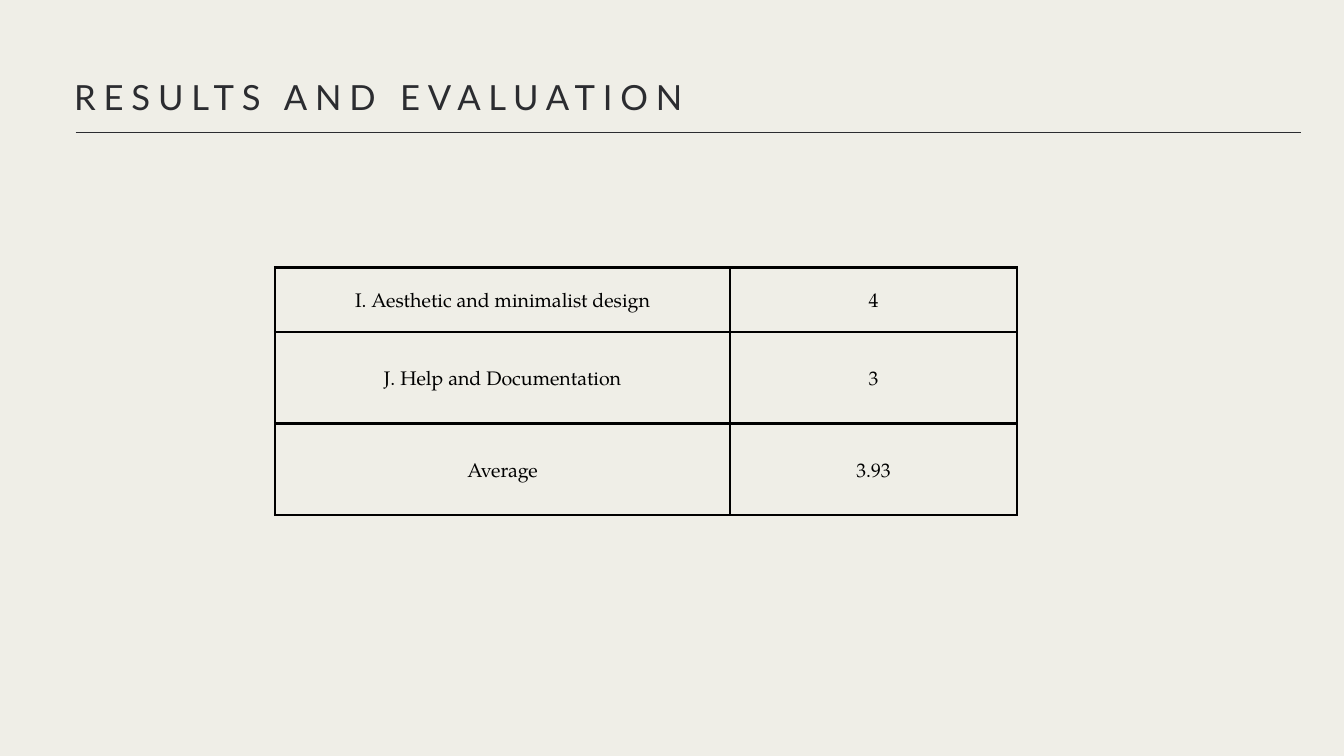
import lxml.etree
import pptx
import pptx.dml.color
import pptx.enum.shapes
import pptx.enum.text
import pptx.oxml.ns
import pptx.util

SCALE = 9525
COLORS = {"background": "EFEEE7", "ink": "2B2C30", "table": "000000"}
ROWS = [
    ("I. Aesthetic and minimalist design", "4"),
    ("J. Help and Documentation", "3"),
    ("Average", "3.93"),
]
COLUMN_WIDTHS = [650, 410]
ROW_HEIGHTS = [92, 131, 131]
CELL_MARGIN = 20


def px(length):
    return pptx.util.Emu(length * SCALE)


def color(name):
    return pptx.dml.color.RGBColor.from_string(COLORS[name])


def style_paragraph(paragraph, font_name, size, color_name, line_spacing):
    paragraph.font.name = font_name
    paragraph.font.size = pptx.util.Pt(size)
    paragraph.font.color.rgb = color(color_name)
    paragraph.line_spacing = pptx.util.Pt(line_spacing)


def add_header(slide, left, top, width, height):
    rule = slide.shapes.add_connector(
        pptx.enum.shapes.MSO_CONNECTOR.STRAIGHT,
        px(left + 2), px(top + 90), px(left + width), px(top + 90),
    )
    rule.line.color.rgb = color("ink")
    rule.line.width = pptx.util.Pt(0.75)
    properties = rule.element.find(pptx.oxml.ns.qn("p:spPr"))
    lxml.etree.SubElement(properties, pptx.oxml.ns.qn("a:effectLst"))

    title = slide.shapes.add_textbox(px(left), px(top), px(width), px(height))
    frame = title.text_frame
    frame.word_wrap = True
    frame.margin_left = frame.margin_right = 0
    frame.margin_top = frame.margin_bottom = 0
    paragraph = frame.paragraphs[0]
    run = paragraph.add_run()
    run.text = "RESULTS AND EVALUATION"
    style_paragraph(paragraph, "Lato", 37.1, "ink", 52)
    run.font._element.set("spc", "840")


def add_borders(cell, width):
    properties = cell._tc.get_or_add_tcPr()
    for index, side in enumerate(("lnL", "lnR", "lnT", "lnB")):
        border = lxml.etree.Element(
            pptx.oxml.ns.qn(f"a:{side}"), w=str(pptx.util.Pt(width))
        )
        fill = lxml.etree.SubElement(border, pptx.oxml.ns.qn("a:solidFill"))
        lxml.etree.SubElement(
            fill, pptx.oxml.ns.qn("a:srgbClr"), val=COLORS["table"]
        )
        properties.insert(index, border)


def fill_cell(cell, text):
    cell.fill.background()
    cell.vertical_anchor = pptx.enum.text.MSO_ANCHOR.MIDDLE
    cell.margin_left = cell.margin_right = px(CELL_MARGIN)
    cell.margin_top = cell.margin_bottom = px(CELL_MARGIN)
    cell.text = text
    paragraph = cell.text_frame.paragraphs[0]
    paragraph.alignment = pptx.enum.text.PP_ALIGN.CENTER
    style_paragraph(paragraph, "TeX Gyre Pagella", 21, "table", 29.4)
    add_borders(cell, 3)


def add_score_table(slide, left, top):
    table = slide.shapes.add_table(
        len(ROWS), len(COLUMN_WIDTHS), px(left), px(top),
        px(sum(COLUMN_WIDTHS)), px(sum(ROW_HEIGHTS)),
    ).table
    table.first_row = False
    table.horz_banding = False
    for column, width in zip(table.columns, COLUMN_WIDTHS):
        column.width = px(width)
    for row, height, texts in zip(table.rows, ROW_HEIGHTS, ROWS):
        row.height = px(height)
        for cell, text in zip(row.cells, texts):
            fill_cell(cell, text)


def main():
    presentation = pptx.Presentation()
    presentation.slide_width = px(1920)
    presentation.slide_height = px(1080)
    slide = presentation.slides.add_slide(presentation.slide_layouts[6])
    slide.background.fill.solid()
    slide.background.fill.fore_color.rgb = color("background")
    add_header(slide, 106, 99, 1753, 68)
    add_score_table(slide, 393, 382)
    presentation.save("out.pptx")


if __name__ == "__main__":
    main()
